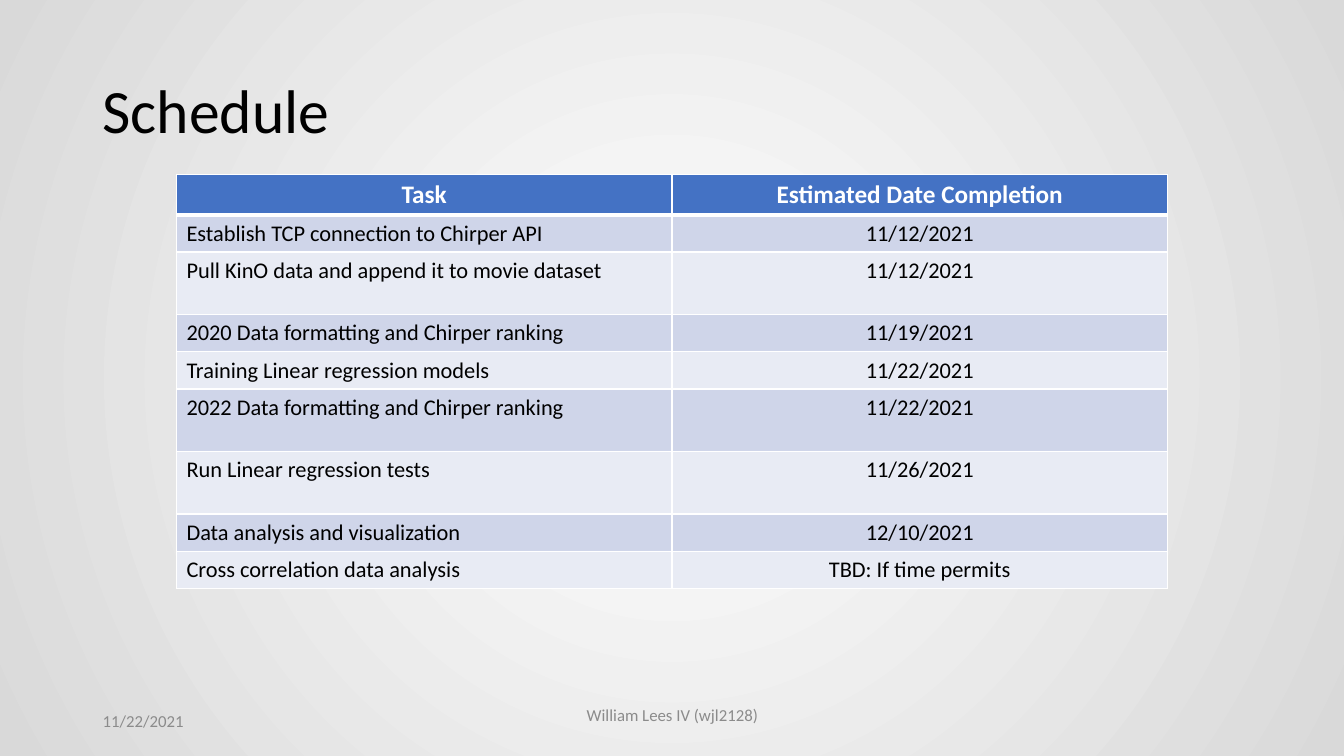
from dataclasses import dataclass

from lxml.etree import SubElement
from pptx import Presentation
from pptx.dml.color import RGBColor
from pptx.enum.text import MSO_ANCHOR as Anchor, PP_ALIGN as Align
from pptx.oxml import parse_xml
from pptx.oxml.ns import nsdecls, qn
from pptx.util import Inches, Pt


@dataclass(frozen=True)
class Theme:
    """Colours, font and type sizes of the deck."""
    font: str = "Calibri"
    ink: str = "000000"
    paper: str = "FFFFFF"
    edge: str = "D9D9D9"
    muted: str = "8B8B8B"
    header: str = "4472C4"
    bands: tuple = ("CFD5E9", "E8EBF4")
    title_size: int = 44
    header_size: int = 18
    body_size: int = 16
    footer_size: int = 12
    thin: float = 0.96
    thick: float = 3


THEME = Theme()
SHORT, TALL, HEADER = 0.37, 0.62, 0.39
COLUMNS = ("Task", "Estimated Date Completion")
TASKS = (
    ("Establish TCP connection to Chirper API", "11/12/2021", SHORT),
    ("Pull KinO data and append it to movie dataset", "11/12/2021", TALL),
    ("2020 Data formatting and Chirper ranking", "11/19/2021", SHORT),
    ("Training Linear regression models", "11/22/2021", SHORT),
    ("2022 Data formatting and Chirper ranking", "11/22/2021", TALL),
    ("Run Linear regression tests", "11/26/2021", TALL),
    ("Data analysis and visualization", "12/10/2021", SHORT),
    ("Cross correlation data analysis", "TBD: If time permits", SHORT),
)


def style_text(frame, text, size, color, align=Align.LEFT, bold=False):
    """Fill a text frame with one formatted paragraph."""
    frame.text = text
    para = frame.paragraphs[0]
    para.alignment = align
    font = para.runs[0].font
    font.name, font.size, font.bold = THEME.font, Pt(size), bold
    font.color.rgb = RGBColor.from_string(color)
    return para


def add_text(page, box, text, size, color, align=Align.LEFT, anchor=Anchor.MIDDLE):
    """Place a wrapped text box and return its paragraph."""
    frame = page.shapes.add_textbox(*map(Inches, box)).text_frame
    frame.word_wrap = True
    frame.vertical_anchor = anchor
    return style_text(frame, text, size, color, align)


def paint_background(page):
    """Paint a gradient that darkens from the centre outwards."""
    fill = page.background.fill
    fill.gradient()
    for stop, color in zip(fill.gradient_stops, (THEME.paper, THEME.edge)):
        stop.color.rgb = RGBColor.from_string(color)
    gradient = page.element.find(".//" + qn("a:gradFill"))
    linear = gradient.find(qn("a:lin"))
    circle = parse_xml(f'<a:path {nsdecls("a")} path="circle"/>')
    SubElement(circle, qn("a:fillToRect"), {side: "50000" for side in "ltrb"})
    gradient.replace(linear, circle)


def set_borders(cell, top, bottom):
    """Draw white borders around a cell."""
    widths = {"L": THEME.thin, "R": THEME.thin, "T": top, "B": bottom}
    properties = cell._tc.get_or_add_tcPr()
    for index, (side, width) in enumerate(widths.items()):
        properties.insert(index, parse_xml(
            f'<a:ln{side} {nsdecls("a")} w="{Pt(width)}"><a:solidFill>'
            f'<a:srgbClr val="{THEME.paper}"/></a:solidFill></a:ln{side}>'))


def fill_cell(cell, fill, *text_style, top=THEME.thin, bottom=THEME.thin):
    """Set the fill, text and borders of a cell."""
    cell.fill.solid()
    cell.fill.fore_color.rgb = RGBColor.from_string(fill)
    style_text(cell.text_frame, *text_style)
    set_borders(cell, top, bottom)


def add_schedule(page, box):
    """Build the table of tasks and dates."""
    table = page.shapes.add_table(
        len(TASKS) + 1, len(COLUMNS), *map(Inches, box)).table
    for column in table.columns:
        column.width = Inches(box[2] / len(COLUMNS))
    table.rows[0].height = Inches(HEADER)
    for index, label in enumerate(COLUMNS):
        fill_cell(table.cell(0, index), THEME.header, label, THEME.header_size,
                  THEME.paper, Align.CENTER, True, bottom=THEME.thick)
    for number, (task, date, height) in enumerate(TASKS, 1):
        table.rows[number].height = Inches(height)
        band = THEME.bands[(number - 1) % 2]
        top = THEME.thick if number == 1 else THEME.thin
        for index, (text, align) in enumerate(((task, Align.LEFT), (date, Align.CENTER))):
            fill_cell(table.cell(number, index), band, text, THEME.body_size,
                      THEME.ink, align, top=top)


def add_footer(page, box):
    """Place the date at the left and the author in the middle."""
    left, top, width, height = box
    add_text(page, (left, top, 3, height), "11/22/2021",
             THEME.footer_size, THEME.muted)
    author_width = 1.92
    add_text(page, (left + (width - author_width) / 2, top - 0.01, author_width, 0.3),
             "William Lees IV (wjl2128)", THEME.footer_size, THEME.muted,
             Align.CENTER, Anchor.BOTTOM)


def build_schedule_slide(deck):
    """Compose the schedule slide."""
    page = deck.slides.add_slide(deck.slide_layouts[6])
    paint_background(page)
    title = add_text(page, (0.92, 0.4, 11.5, 1.45), "Schedule",
                     THEME.title_size, THEME.ink)
    title.line_spacing = 0.9
    add_footer(page, (0.92, 6.95, 11.5, 0.4))
    add_schedule(page, (1.75, 1.73, 9.83, 4.1))


def main():
    """Create and save the deck."""
    deck = Presentation()
    deck.slide_width, deck.slide_height = Inches(13.33), Inches(7.5)
    build_schedule_slide(deck)
    deck.save("out.pptx")


if __name__ == "__main__":
    main()
